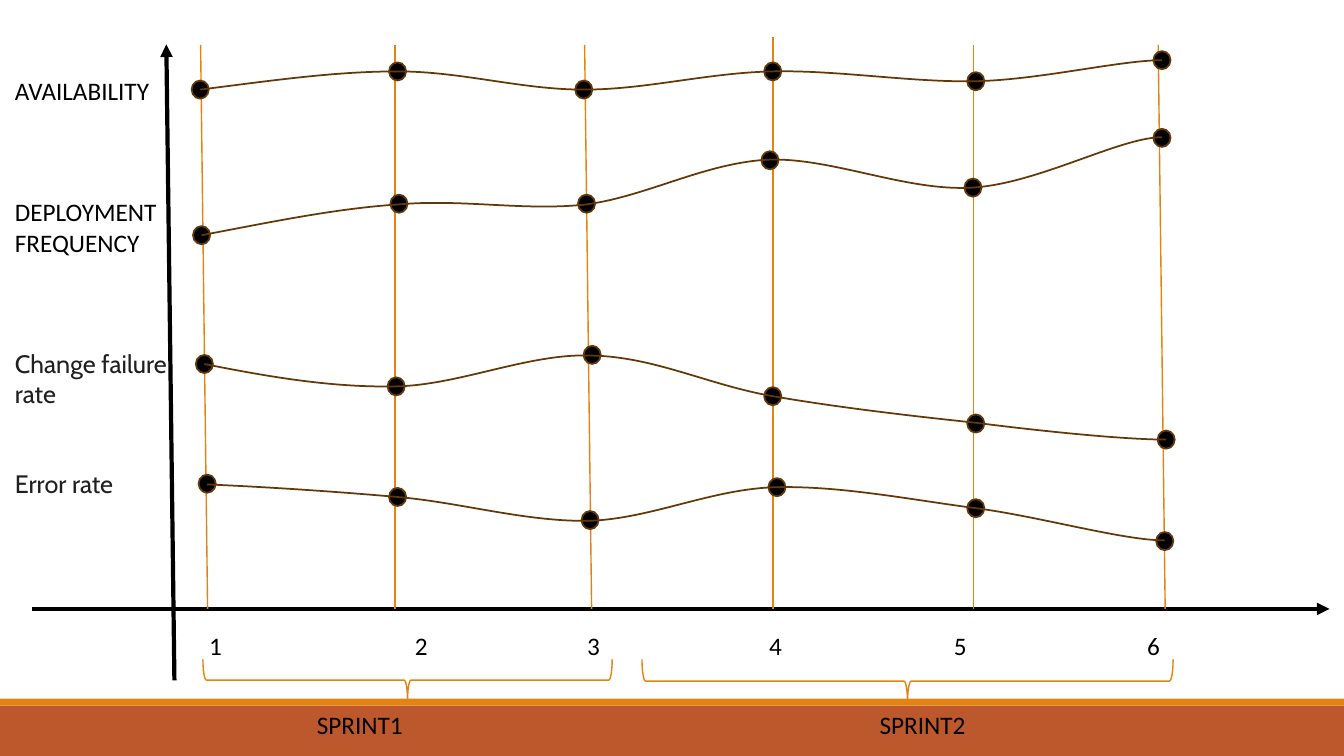
from dataclasses import dataclass

from lxml.etree import SubElement
from pptx import Presentation
from pptx.dml.color import RGBColor
from pptx.enum.shapes import MSO_CONNECTOR, MSO_SHAPE
from pptx.enum.text import PP_ALIGN
from pptx.oxml.ns import qn
from pptx.util import Pt


@dataclass(frozen=True)
class Theme:
    """Colours, fonts and sizes of the slide."""
    ink: RGBColor = RGBColor.from_string("000000")
    soft_ink: RGBColor = RGBColor.from_string("1F1F1F")
    accent: RGBColor = RGBColor.from_string("E48312")
    footer: RGBColor = RGBColor.from_string("BD582C")
    curve: RGBColor = RGBColor.from_string("643908")
    main_font: str = "Calibri"
    soft_font: str = "Cabin"
    text_size: float = 18
    axis_width: float = 3
    thin_width: float = 1
    curve_width: float = 1.25


@dataclass(frozen=True)
class Box:
    """A region of the slide in points."""
    left: float
    top: float
    width: float
    height: float


THEME = Theme()
MARKER_WIDTH, MARKER_HEIGHT = 12.24, 12.96
LABEL_HEIGHT = 29
GUIDES = [(28.3, 5, 2), (162.2, 0, 2), (302.6, 5, 2), (432.2, 0, -3.4), (575.5, 0, 2), (712.3, 5, 2)]
SERIES = [
    [(23, 34), (164, 21), (297, 34), (432, 21), (577, 28), (710, 13)],
    [(24, 138), (165, 115.5), (299, 115.5), (430, 84.5), (575, 104), (710, 68.5)],
    [(26, 230), (163, 246), (303, 223.5), (432, 253), (577, 272.5), (713, 284)],
    [(28, 315.5), (164, 325), (301.5, 341.5), (435, 318), (577, 333), (712, 356.5)],
]
SERIES_LABELS = [
    ("AVAILABILITY", 0, THEME.main_font, THEME.ink),
    ("DEPLOYMENT FREQUENCY", 87, THEME.main_font, THEME.ink),
    ("Change failure rate", 195, THEME.soft_font, THEME.soft_ink),
    ("Error rate", 281, THEME.soft_font, THEME.soft_ink),
]
TICK_CENTERS = [24, 171, 294, 424, 556, 694]
SPRINTS = [("SPRINT1", 15, 292.3, 29.5, 127), ("SPRINT2", 328.6, 379.4, 31, 529)]


def add_label(slide, box, text, font, color, align=PP_ALIGN.LEFT):
    """Write one wrapped label in the box."""
    label = slide.shapes.add_textbox(Pt(box.left), Pt(box.top), Pt(box.width), Pt(box.height))
    label.text_frame.word_wrap = True
    paragraph = label.text_frame.paragraphs[0]
    paragraph.text = text
    paragraph.alignment = align
    paragraph.font.name = font
    paragraph.font.size = Pt(THEME.text_size)
    paragraph.font.color.rgb = color


def add_centered_label(slide, center, top, text):
    """Write a short label centred on a horizontal position."""
    box = Box(center - 50, top, 100, LABEL_HEIGHT)
    add_label(slide, box, text, THEME.main_font, THEME.ink, PP_ALIGN.CENTER)


def add_preset(slide, preset, box, fill=None, line=None, width=0):
    """Draw a preset shape with the given fill and outline."""
    shape = slide.shapes.add_shape(preset, Pt(box.left), Pt(box.top), Pt(box.width), Pt(box.height))
    shape.shadow.inherit = False
    paint(shape, fill, line, width)
    return shape


def paint(shape, fill, line, width):
    """Set fill and outline, where None means no paint."""
    if fill is None:
        shape.fill.background()
    else:
        shape.fill.solid()
        shape.fill.fore_color.rgb = fill
    if line is None:
        shape.line.fill.background()
    else:
        shape.line.color.rgb = line
        shape.line.width = Pt(width)


def add_line(slide, start, end, color, width, arrow=False):
    """Draw a straight line, with an arrowhead at its end if asked."""
    line = slide.shapes.add_connector(MSO_CONNECTOR.STRAIGHT, *map(Pt, (*start, *end)))
    line.line.color.rgb = color
    line.line.width = Pt(width)
    if arrow:
        SubElement(line.line._get_or_add_ln(), qn("a:tailEnd"), type="triangle")
    SubElement(line._element.spPr, qn("a:effectLst"))


def curve_controls(knots):
    """Return control points and knots of a smooth curve after its first knot."""
    tangents = [((c[0] - a[0]) / 6, (c[1] - a[1]) / 6) for a, c in zip(knots, knots[2:])]
    tangents = [None, *tangents, (30, 0)]
    points = []
    for i, (start, end) in enumerate(zip(knots, knots[1:])):
        arriving = (end[0] - tangents[i + 1][0], end[1] - tangents[i + 1][1])
        if i == 0:
            leaving = ((start[0] + arriving[0]) / 2, (start[1] + arriving[1]) / 2)
        else:
            leaving = (start[0] + tangents[i][0], start[1] + tangents[i][1])
        points += [leaving, arriving, end]
    return points


def add_curve(slide, knots):
    """Draw a smooth open curve through the knots."""
    builder = slide.shapes.build_freeform(*knots[0], scale=Pt(1))
    builder.add_line_segments(curve_controls(knots), close=False)
    curve = builder.convert_to_shape()
    curve.shadow.inherit = False
    paint(curve, None, THEME.curve, THEME.curve_width)
    segments = list(curve._element.iter(qn("a:lnTo")))
    for first in range(0, len(segments), 3):
        bezier = SubElement(segments[first].getparent(), qn("a:cubicBezTo"))
        for segment in segments[first:first + 3]:
            bezier.append(segment[0])
            segment.getparent().remove(segment)


def add_footer_bands(slide, box):
    """Draw the footer band with its accent strip."""
    strip = 5
    add_preset(slide, MSO_SHAPE.RECTANGLE,
               Box(box.left, box.top + strip, box.width, box.height - strip), THEME.footer)
    add_preset(slide, MSO_SHAPE.RECTANGLE, Box(box.left, box.top, box.width, strip), THEME.accent)


def add_plot(slide, box):
    """Draw axes, guides, markers and curves in the plot box."""
    bottom = box.top + box.height
    add_line(slide, (box.left + 4.6, bottom + 51), (box.left - 1.2, box.top + 1.7),
             THEME.ink, THEME.axis_width, arrow=True)
    add_line(slide, (box.left - 97, bottom), (box.left + box.width, bottom),
             THEME.ink, THEME.axis_width, arrow=True)
    for foot, lean, rise in GUIDES:
        add_line(slide, (box.left + foot, bottom), (box.left + foot - lean, box.top + rise),
                 THEME.accent, THEME.thin_width)
    series = [[(box.left + x, box.top + y) for x, y in points] for points in SERIES]
    for points in series:
        for x, y in points:
            marker = Box(x - MARKER_WIDTH / 2, y - MARKER_HEIGHT / 2, MARKER_WIDTH, MARKER_HEIGHT)
            add_preset(slide, MSO_SHAPE.FLOWCHART_CONNECTOR, marker,
                       THEME.ink, THEME.curve, THEME.curve_width)
    for points in series:
        add_curve(slide, points)


def add_series_labels(slide, box):
    """Write the names of the four measures down the box."""
    for text, offset, font, color in SERIES_LABELS:
        height = LABEL_HEIGHT if offset in (0, 281) else 2 * LABEL_HEIGHT - 7
        add_label(slide, Box(box.left, box.top + offset, box.width, height), text, font, color)


def add_timeline(slide, box):
    """Place tick numbers, sprint braces and sprint names in the box."""
    for number, center in enumerate(TICK_CENTERS, 1):
        add_centered_label(slide, box.left + center, box.top, str(number))
    for name, start, span, depth, center in SPRINTS:
        middle_x, middle_y = box.left + start + span / 2, box.top + 24 + depth / 2
        brace = add_preset(slide, MSO_SHAPE.LEFT_BRACE,
                           Box(middle_x - depth / 2, middle_y - span / 2, depth, span),
                           line=THEME.accent, width=THEME.thin_width)
        brace.rotation = 270
        add_centered_label(slide, box.left + center, box.top + box.height - LABEL_HEIGHT, name)


def main():
    """Build the slide and save it."""
    deck = Presentation()
    deck.slide_width, deck.slide_height = Pt(960), Pt(540)
    slide = deck.slides.add_slide(deck.slide_layouts[6])
    add_footer_bands(slide, Box(0, 499, 960, 41))
    add_plot(slide, Box(120, 30, 829.7, 405))
    add_series_labels(slide, Box(3.6, 50, 124.6, 312))
    add_timeline(slide, Box(130, 447, 800, 85))
    deck.save("out.pptx")


if __name__ == "__main__":
    main()
